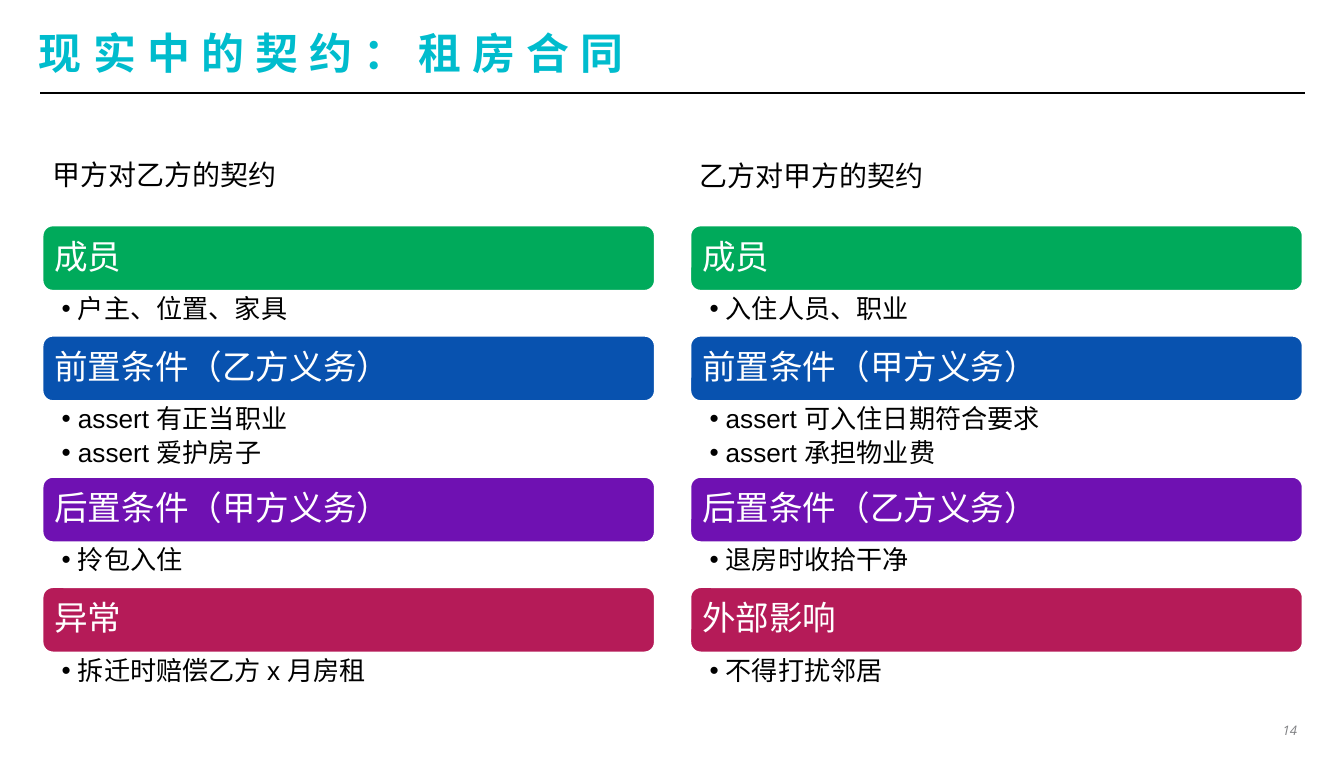
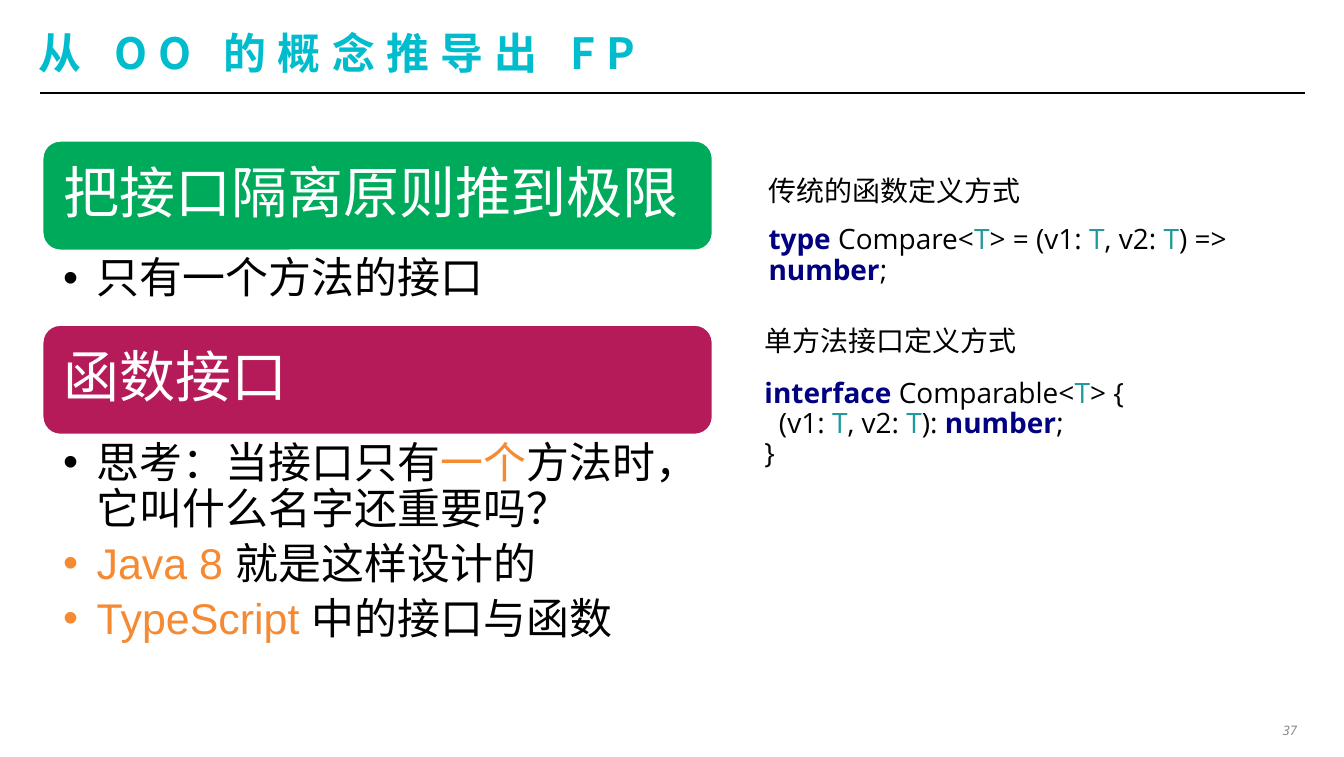
"""Builds two slides on contracts and functional interfaces."""
from lxml import etree
from pptx import Presentation
from pptx.dml.color import RGBColor
from pptx.enum.shapes import MSO_CONNECTOR, MSO_SHAPE
from pptx.enum.text import MSO_ANCHOR, PP_ALIGN
from pptx.oxml.ns import qn
from pptx.util import Inches, Pt

ROUND = MSO_SHAPE.ROUNDED_RECTANGLE
LINE = MSO_CONNECTOR.STRAIGHT
TOP, MID = MSO_ANCHOR.TOP, MSO_ANCHOR.MIDDLE
LEFT, RIGHT = PP_ALIGN.LEFT, PP_ALIGN.RIGHT

BLACK = RGBColor(0x00, 0x00, 0x00)
WHITE = RGBColor(0xFF, 0xFF, 0xFF)
CYAN = RGBColor(0x00, 0xBC, 0xCD)
GREEN = RGBColor(0x00, 0xAA, 0x5B)
BLUE = RGBColor(0x08, 0x52, 0xAF)
PURPLE = RGBColor(0x6F, 0x11, 0xB2)
RED = RGBColor(0xB5, 0x1B, 0x58)
ORANGE = RGBColor(0xF5, 0x8A, 0x33)
NAVY = RGBColor(0x00, 0x00, 0x80)
TEAL = RGBColor(0x20, 0x99, 0x9D)
GREY = RGBColor(0x80, 0x81, 0x84)

HEAD, BODY, CODE = "Noto Sans CJK JP", "Arial", "Open Sans"
WIDE, HIGH = 10, 5.63
EDGE = 0.31

SMALL = dict(bar=0.5, size=18, inset=0.07, item=14, hang=0.12,
             pad=(0.15, 0.03, 0.14, 0.03), base=0.09, row=0.23)
LARGE = dict(bar=0.83, size=30, inset=0.12, item=23, hang=0.25,
             pad=(0.16, 0.04, 0.35, 0.04), base=0.13, row=0.41)

PARTY_A = [
    ("成员", GREEN, 1, ["户主、位置、家具"]),
    ("前置条件（乙方义务）", BLUE, 2, ["assert 有正当职业", "assert 爱护房子"]),
    ("后置条件（甲方义务）", PURPLE, 1, ["拎包入住"]),
    ("异常", RED, 1, ["拆迁时赔偿乙方 x 月房租"]),
]
PARTY_B = [
    ("成员", GREEN, 1, ["入住人员、职业"]),
    ("前置条件（甲方义务）", BLUE, 2, ["assert 可入住日期符合要求", "assert 承担物业费"]),
    ("后置条件（乙方义务）", PURPLE, 1, ["退房时收拾干净"]),
    ("外部影响", RED, 1, ["不得打扰邻居"]),
]
IDEAS = [
    ("把接口隔离原则推到极限", GREEN, 1, ["只有一个方法的接口"]),
    ("函数接口", RED, 4, [
        [("思考：当接口只有", BLACK), ("一个", ORANGE),
         ("方法时，它叫什么名字还重要吗？", BLACK)],
        [("Java 8", ORANGE), (" 就是这样设计的", BLACK)],
        [("TypeScript", ORANGE), (" 中的接口与函数", BLACK)],
    ]),
]
ARGS = [("T", TEAL), (", v2: ", BLACK), ("T", TEAL)]
TYPE = [
    [("type ", NAVY), ("Compare<", BLACK), ("T", TEAL), ("> = (v1: ", BLACK),
     *ARGS, (") => ", BLACK), ("number", NAVY), (";", BLACK)],
]
FACE = [
    [("interface ", NAVY), ("Comparable<", BLACK), ("T", TEAL), ("> {", BLACK)],
    [("  (v1: ", BLACK), *ARGS, ("): ", BLACK), ("number", NAVY), (";", BLACK)],
    "}",
]
COLUMNS = [(0.29, 1.12, "甲方对乙方的契约", PARTY_A),
           (5.11, 1.13, "乙方对甲方的契约", PARTY_B)]
SAMPLES = [(5.62, 1.24, "传统的函数定义方式", 1.63, 0.33, TYPE),
           (5.59, 2.36, "单方法接口定义方式", 2.77, 1.01, FACE)]


def write(shape, lines, font, size, color=BLACK, pad=(0.1, 0.05, 0.1, 0.05),
          anchor=TOP, align=LEFT, space=None, bold=False, hang=None):
    frame = shape.text_frame
    frame.word_wrap = True
    frame.vertical_anchor = anchor
    (frame.margin_left, frame.margin_top,
     frame.margin_right, frame.margin_bottom) = map(Inches, pad)
    for i, line in enumerate(lines):
        para = frame.add_paragraph() if i else frame.paragraphs[0]
        para.alignment = align
        if hang:
            bullet(para, hang)
            para.space_after = Pt(size * 0.2)
        if space:
            para.line_spacing = space
        for text, tint in [(line, color)] if isinstance(line, str) else line:
            run = para.add_run()
            run.text = text
            run.font.name, run.font.size = font, Pt(size)
            run.font.color.rgb = tint
            run.font.bold = bold or tint == NAVY
    return frame


def bullet(para, hang):
    para.level = 1
    props = para._p.get_or_add_pPr()
    props.set("marL", str(Inches(hang)))
    props.set("indent", str(-Inches(hang)))
    etree.SubElement(props, qn("a:buFont")).set("typeface", BODY)
    etree.SubElement(props, qn("a:buChar")).set("char", "•")


def box(shapes, *place):
    return shapes.add_textbox(*map(Inches, place))


def stack(slide, left, top, width, parts, kind):
    shapes = slide.shapes.add_group_shape().shapes
    for name, color, rows, items in parts:
        bar = shapes.add_shape(ROUND, *map(Inches, (left, top, width, kind["bar"])))
        bar.shadow.inherit = False
        bar.fill.solid()
        bar.fill.fore_color.rgb = color
        bar.line.color.rgb = WHITE
        bar.line.width = Pt(2)
        write(bar, [name], BODY, kind["size"], WHITE, (kind["inset"],) * 4,
              MID, space=0.9)
        top += kind["bar"]
        deep = kind["base"] + kind["row"] * rows
        write(box(shapes, left, top, width, deep), items, BODY, kind["item"],
              pad=kind["pad"], space=0.9, hang=kind["hang"])
        top += deep


def start(deck, title, page):
    slide = deck.slides.add_slide(deck.slide_layouts[6])
    rule = slide.shapes.add_connector(LINE, *map(Inches, (0.3, 0.69, 9.71, 0.69)))
    rule.line.color.rgb = BLACK
    rule.line.width = Pt(1)
    etree.SubElement(rule._element.spPr, qn("a:effectLst"))
    head = write(box(slide.shapes, 0.29, 0.18, 9.41, 0.42), [title], HEAD, 23,
                 CYAN, (0,) * 4, MID, bold=True)
    props = head.paragraphs[0].runs[0].font._element
    props.set("spc", "600")
    east = etree.Element(qn("a:ea"))
    east.set("typeface", HEAD)
    props.find(qn("a:latin")).addnext(east)
    foot = write(box(slide.shapes, 9.41, 5.34, 0.3, 0.17), [page], CODE, 7, GREY,
                 (0.06, 0.03, 0.06, 0.03), align=RIGHT)
    foot.paragraphs[0].runs[0].font.italic = True
    return slide


def main():
    deck = Presentation()
    deck.slide_width, deck.slide_height = Inches(WIDE), Inches(HIGH)

    slide = start(deck, "现实中的契约：租房合同", "14")
    for left, top, label, parts in COLUMNS:
        stack(slide, left + 0.02, 1.67, 4.57, parts, SMALL)
        write(box(slide.shapes, left, top, 3.78, 0.35), [label], CODE, 15)

    slide = start(deck, "从 OO 的概念推导出 FP", "37")
    stack(slide, EDGE, 1.04, WIDE / 2, IDEAS, LARGE)
    for left, top, label, below, deep, code in SAMPLES:
        write(box(slide.shapes, left, top, 4.06, 0.35), [label], CODE, 15)
        write(box(slide.shapes, left, below, 4.06, deep), code, CODE, 15, space=0.9)

    deck.save("out.pptx")


if __name__ == "__main__":
    main()
